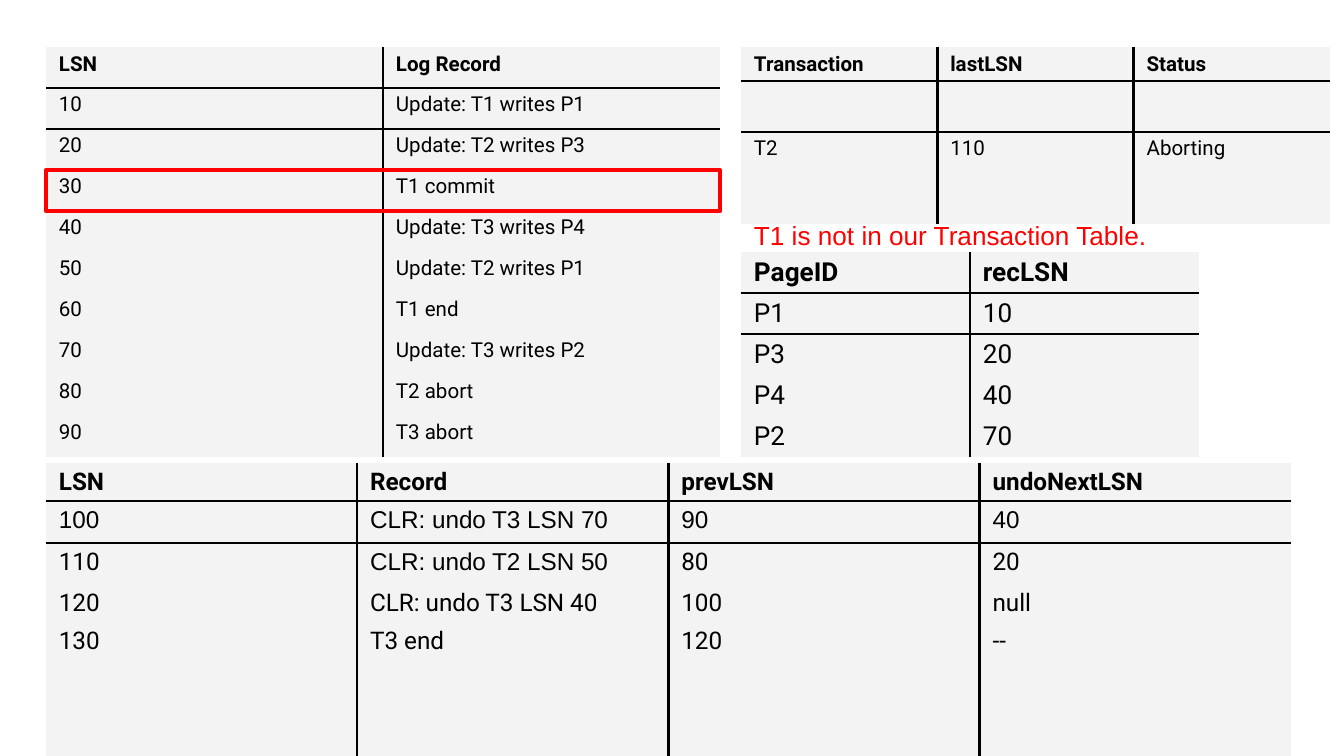
"""Build the slide of crash-recovery log, transaction and dirty page tables."""
from lxml import etree
from pptx import Presentation
from pptx import util as u
from pptx.dml.color import RGBColor
from pptx.enum import shapes
from pptx.oxml.ns import qn

BLACK = RGBColor(0, 0, 0)
RED = RGBColor(0xFF, 0, 0)
GREY = RGBColor(0xF3, 0xF3, 0xF3)
PX_PER_INCH = 134.4
LEFT, RIGHT = 46, 741
LOG_TOP, ROW = 47, 41
RULED_ROWS = 2

LOG = [
    ["LSN", "Log Record"],
    ["10", "Update: T1 writes P1"],
    ["20", "Update: T2 writes P3"],
    ["30", "T1 commit"],
    ["40", "Update: T3 writes P4"],
    ["50", "Update: T2 writes P1"],
    ["60", "T1 end"],
    ["70", "Update: T3 writes P2"],
    ["80", "T2 abort"],
    ["90", "T3 abort"],
]
TRANSACTIONS = [
    ["Transaction", "lastLSN", "Status"],
    ["", "", ""],
    ["T2", "110", "Aborting"],
    ["", "", ""],
]
DIRTY_PAGES = [
    ["PageID", "recLSN"],
    ["P1", "10"],
    ["P3", "20"],
    ["P4", "40"],
    ["P2", "70"],
]
UNDO = [
    ["LSN", "Record", "prevLSN", "undoNextLSN"],
    ["100", "CLR: undo T3 LSN 70", "90", "40"],
    ["110", "CLR: undo T2 LSN 50", "80", "20"],
    ["120", "CLR: undo T3 LSN 40", "100", "null"],
    ["130", "T3 end", "120", "--"],
    ["", "", "", ""],
    ["", "", "", ""],
]
UNDO_ARIAL = {(1, 0), (1, 1), (1, 2), (1, 3), (2, 1)}


def px(length):
    """Turn pixels into EMU."""
    return u.Emu(round(length * u.Inches(1) / PX_PER_INCH))


class Sheet:
    """Hold the style and the current slide."""

    font = "Roboto"
    plain_font = "Arial"
    rule = u.Pt(1.5)

    def __init__(self, slide):
        self.slide = slide

    def add_words(self, frame, words, size, color, font, bold=False):
        """Add one styled run to the first paragraph."""
        run = frame.paragraphs[0].add_run()
        run.text = words
        run.font.size = u.Pt(size)
        run.font.name = font
        run.font.bold = bold
        run.font.color.rgb = color

    def borders(self, cell, ruled):
        """Draw the sides named in ruled and clear the others."""
        properties = cell._tc.get_or_add_tcPr()
        for place, side in enumerate("LRTB"):
            line = etree.Element(qn(f"a:ln{side}"), w=str(int(self.rule)))
            if side in ruled:
                fill = etree.SubElement(line, qn("a:solidFill"))
                etree.SubElement(fill, qn("a:srgbClr"), val=str(BLACK))
            else:
                etree.SubElement(line, qn("a:noFill"))
            properties.insert(place, line)

    def table(self, left, top, width, heights, rows, size, arial=()):
        """Add a grey table with ruled columns and two ruled top rows."""
        columns = len(rows[0])
        grid = self.slide.shapes.add_table(
            len(rows), columns, px(left), px(top), px(width), px(sum(heights))
        ).table
        grid.first_row = grid.horz_banding = False
        for column in grid.columns:
            column.width = px(width / columns)
        for r, (height, row) in enumerate(zip(heights, rows)):
            grid.rows[r].height = px(height)
            for c, words in enumerate(row):
                cell = grid.cell(r, c)
                cell.margin_left = cell.margin_right = px(13)
                cell.margin_top = cell.margin_bottom = px(5)
                cell.fill.solid()
                cell.fill.fore_color.rgb = GREY
                ruled = {
                    "L": c > 0,
                    "R": c < columns - 1,
                    "T": 0 < r <= RULED_ROWS,
                    "B": r < RULED_ROWS,
                }
                self.borders(cell, [side for side, drawn in ruled.items() if drawn])
                if words:
                    font = self.plain_font if (r, c) in arial else self.font
                    self.add_words(cell.text_frame, words, size, BLACK, font, r == 0)

    def highlight(self, left, top, width, height):
        """Add a red outline."""
        box = self.slide.shapes.add_shape(
            shapes.MSO_SHAPE.RECTANGLE, px(left), px(top), px(width), px(height)
        )
        box.shadow.inherit = False
        box.fill.background()
        box.line.color.rgb = RED
        box.line.width = u.Pt(2.25)

    def remark(self, left, top, width, height, words):
        """Add a red line of text."""
        frame = self.slide.shapes.add_textbox(
            px(left), px(top), px(width), px(height)
        ).text_frame
        frame.word_wrap = True
        frame.margin_left = frame.margin_right = px(13)
        frame.margin_top = frame.margin_bottom = px(13)
        self.add_words(frame, words, 14, RED, self.plain_font)


def main():
    """Build and save the slide."""
    deck = Presentation()
    deck.slide_width, deck.slide_height = px(1344), px(756)
    sheet = Sheet(deck.slides.add_slide(deck.slide_layouts[6]))
    sheet.table(LEFT, LOG_TOP, 674, [ROW] * len(LOG), LOG, 11)
    sheet.table(RIGHT, LOG_TOP, 589, [34, 48, ROW, 48], TRANSACTIONS, 11)
    sheet.table(RIGHT, 252, 458, [ROW] * len(DIRTY_PAGES), DIRTY_PAGES, 14)
    sheet.highlight(LEFT, LOG_TOP + 3 * ROW, 674, ROW)
    sheet.table(
        LEFT, 463, 1245, [38, 42, ROW, 38, 38, 48, 48], UNDO, 13, UNDO_ARIAL
    )
    sheet.remark(RIGHT, 206, 481, 51, "T1 is not in our Transaction Table.")
    deck.save("out.pptx")


if __name__ == "__main__":
    main()
